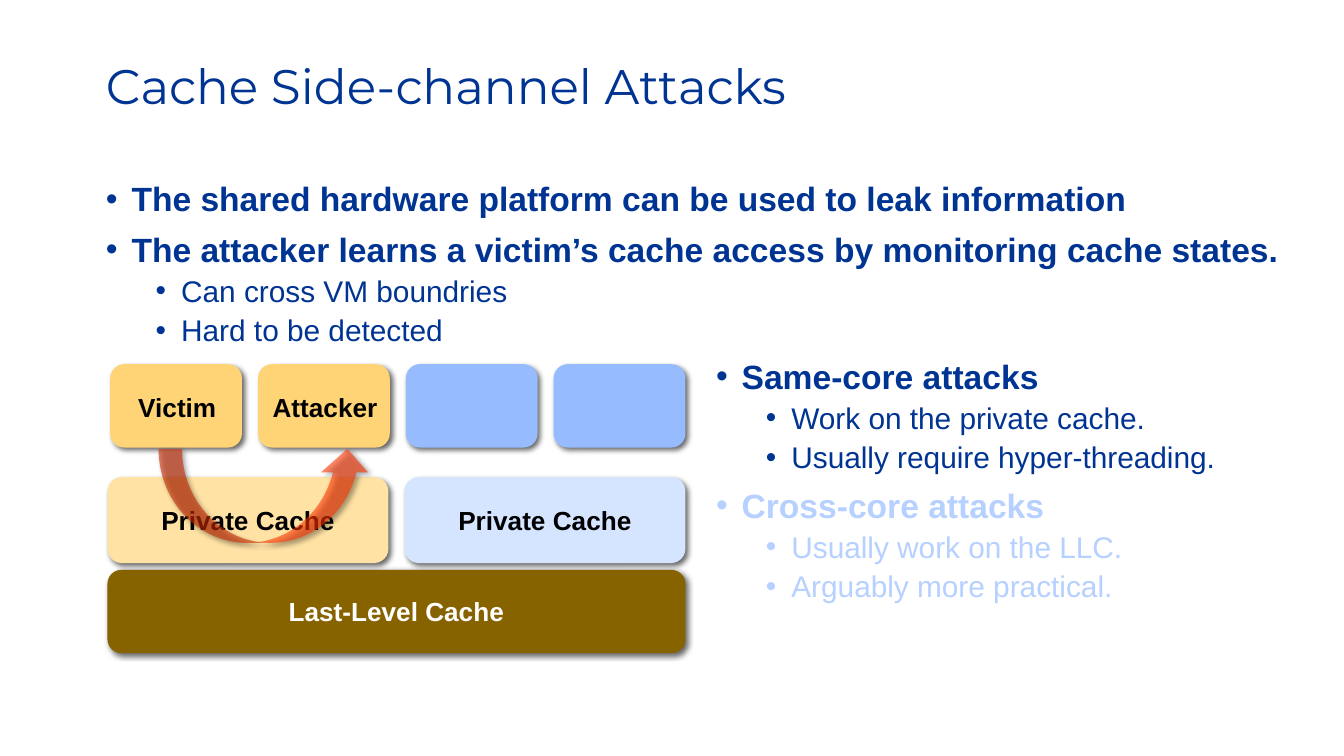
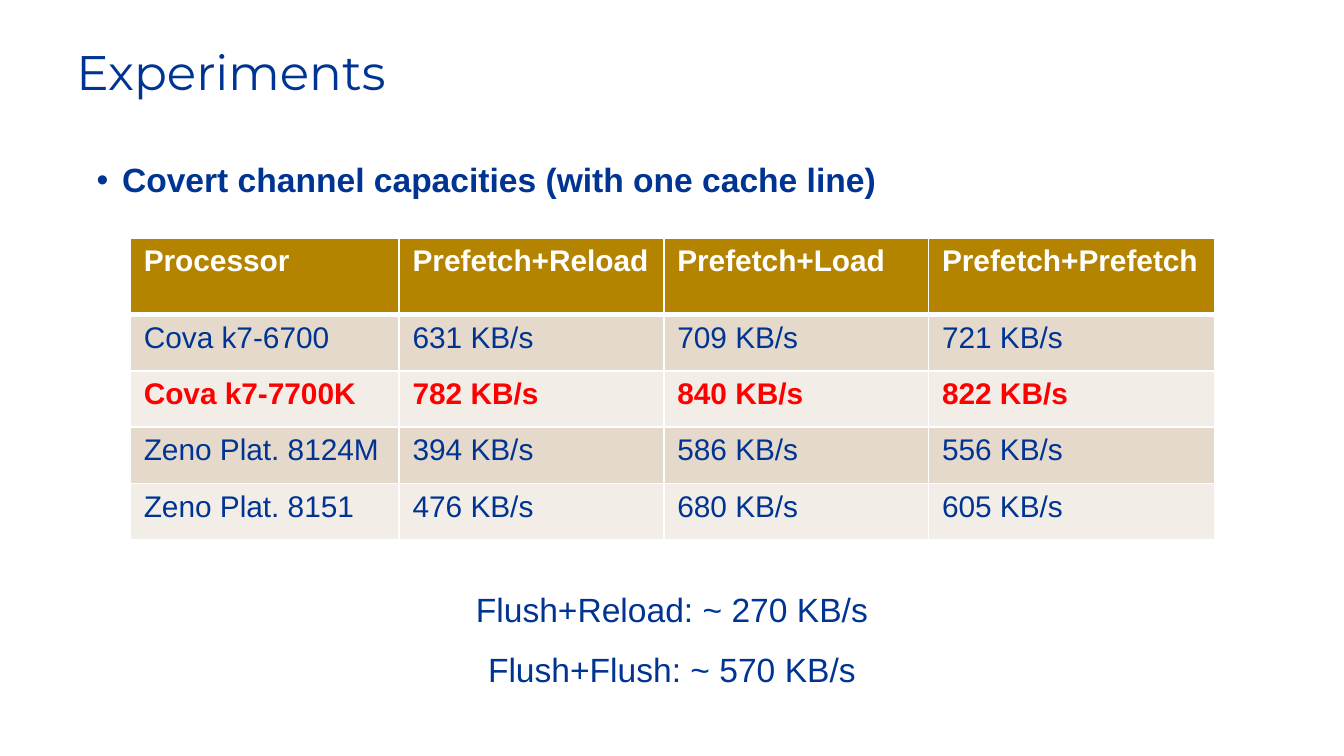
from lxml import etree
from pptx import Presentation
from pptx import util as u
from pptx.dml import color
from pptx.enum import shapes, text
from pptx.oxml import ns

NAVY, PALE, WHITE, BLACK, RED = "003493", "B6D0FF", "FFFFFF", "000000", "FF0000"
AMBER, SAND, BLUE, ICE, BROWN = "FFD476", "FFE2A4", "96BBFF", "D5E4FF", "876300"
ARROW, HEADER, BANDS = "FF3300", "B48400", ("E5D9CC", "F2EDE7")
BODY_FONT, TITLE_FONT = "Arial", "Montserrat"


def rgb(value):
    """Turn a hex string into a colour."""
    return color.RGBColor.from_string(value)


def sub(parent, tag, **attrs):
    """Append a drawing element with its attributes."""
    el = etree.SubElement(parent, ns.qn(tag))
    for name, value in attrs.items():
        el.set(name, str(value))
    return el


def style(p, size, hex_color, bold=False, font=BODY_FONT):
    """Format every run of a paragraph."""
    for r in p.runs:
        r.font.size = u.Pt(size)
        r.font.name = font
        r.font.bold = bold
        r.font.color.rgb = rgb(hex_color)


def add_text(s, box, lines, size, hex_color=NAVY, bold=False, font=BODY_FONT,
             spacing=None, align=None, wrap=True):
    """Add a text box with one paragraph for each line."""
    tf = s.shapes.add_textbox(*map(u.Inches, box)).text_frame
    tf.word_wrap = wrap
    tf.text = "\n".join(lines)
    for p in tf.paragraphs:
        p.line_spacing = spacing
        p.alignment = align
        style(p, size, hex_color, bold, font)
    return tf


def add_title(s, box, title):
    """Add the slide title."""
    add_text(s, box, [title], 26, font=TITLE_FONT, spacing=0.9)


def add_bullets(s, box, items):
    """Add bullets from (level, text, colour) items."""
    tf = add_text(s, box, [item[1] for item in items], 18, spacing=0.9)
    for p, (level, _, hex_color) in zip(tf.paragraphs, items):
        p.level = level
        p.space_before = u.Pt(3.8 if level else 7.5)
        style(p, 16 if level else 18, hex_color, bold=level == 0)
        pPr = p._p.get_or_add_pPr()
        pPr.set("marL", str(u.Inches(0.56 if level else 0.19)))
        pPr.set("indent", str(u.Inches(-0.19)))
        sub(pPr, "a:buFont", typeface=BODY_FONT)
        sub(pPr, "a:buChar", char="•")


def add_shadow(sp):
    """Give a shape a soft shadow to the lower right."""
    sp.shadow.inherit = False
    effects = sp._element.spPr.find(ns.qn("a:effectLst"))
    outer = sub(effects, "a:outerShdw", blurRad=u.Pt(3), dist=u.Pt(2),
                dir=45 * 60000, algn="tl", rotWithShape=0)
    sub(sub(outer, "a:srgbClr", val=BLACK), "a:alpha", val=60000)


def add_block(s, box, fill, label="", hex_color=BLACK,
              kind=shapes.MSO_SHAPE.ROUNDED_RECTANGLE):
    """Add a filled, shadowed shape with a centred label."""
    sp = s.shapes.add_shape(kind, *map(u.Inches, box))
    sp.fill.solid()
    sp.fill.fore_color.rgb = rgb(fill)
    sp.line.fill.background()
    add_shadow(sp)
    if label:
        tf = sp.text_frame
        tf.text = label
        tf.vertical_anchor = text.MSO_ANCHOR.MIDDLE
        tf.paragraphs[0].alignment = text.PP_ALIGN.CENTER
        style(tf.paragraphs[0], 14, hex_color, bold=True)
    return sp


def add_leak_arrow(s, box):
    """Add the translucent arrow from victim to attacker."""
    sp = add_block(s, box, ARROW, kind=shapes.MSO_SHAPE.CURVED_UP_ARROW)
    clr = sp._element.spPr.find(ns.qn("a:solidFill"))[0]
    sub(clr, "a:alpha", val=58000)


def add_borders(cell, top, bottom):
    """Draw white cell borders of the given top and bottom widths."""
    tcPr = cell._tc.get_or_add_tcPr()
    for side, width in (("L", 1), ("R", 1), ("T", top), ("B", bottom)):
        ln = sub(tcPr, f"a:ln{side}", w=u.Pt(width))
        sub(sub(ln, "a:solidFill"), "a:srgbClr", val=WHITE)


def add_results(s, box, widths, heights, rows, best):
    """Add the capacity table with one highlighted row."""
    table = s.shapes.add_table(len(rows), len(widths), *map(u.Inches, box)).table
    for col, width in zip(table.columns, widths):
        col.width = u.Inches(width)
    for i, values in enumerate(rows):
        table.rows[i].height = u.Inches(heights[i])
        fill = BANDS[(i - 1) % 2] if i else HEADER
        ink = WHITE if i == 0 else RED if i == best else NAVY
        for j, value in enumerate(values):
            cell = table.cell(i, j)
            add_borders(cell, 3 if i == 1 else 1, 3 if i == 0 else 1)
            cell.fill.solid()
            cell.fill.fore_color.rgb = rgb(fill)
            cell.text = value
            style(cell.text_frame.paragraphs[0], 16, ink, bold=i in (0, best))


def add_cache_diagram(s):
    """Draw cores above private caches and the last-level cache."""
    add_block(s, (0.8, 4.24, 4.3, 0.62), BROWN, "Last-Level Cache", WHITE)
    for i, fill in enumerate((SAND, ICE)):
        add_block(s, (0.8 + 2.21 * i, 3.55, 2.09, 0.64), fill, "Private Cache")
    for i, fill in enumerate((AMBER, AMBER, BLUE, BLUE)):
        add_block(s, (0.82 + 1.1 * i, 2.71, 0.98, 0.62), fill)
    add_leak_arrow(s, (1.18, 3.34, 1.58, 0.7))
    for x, width, label in ((0.93, 0.79, "Victim"), (1.93, 0.99, "Attacker")):
        add_text(s, (x, 2.86, width, 0.34), [label], 14, BLACK, True, wrap=False)


def build_attacks(s):
    """Fill the slide on cache attacks."""
    add_bullets(s, (5.23, 2.63, 4.62, 2.3), [
        (0, "Same-core attacks", NAVY),
        (1, "Work on the private cache.", NAVY),
        (1, "Usually require hyper-threading.", NAVY),
        (0, "Cross-core attacks", PALE),
        (1, "Usually work on the LLC.", PALE),
        (1, "Arguably more practical.", PALE),
    ])
    add_title(s, (0.69, 0.42, 8.62, 0.96), "Cache Side-channel Attacks")
    add_bullets(s, (0.69, 1.31, 8.98, 1.32), [
        (0, "The shared hardware platform can be used to leak information", NAVY),
        (0, "The attacker learns a victim’s cache access by monitoring cache states.", NAVY),
        (1, "Can cross VM boundries", NAVY),
        (1, "Hard to be detected", NAVY),
    ])
    add_cache_diagram(s)


def build_experiments(s):
    """Fill the slide on measured capacities."""
    add_bullets(s, (0.62, 1.17, 8.73, 0.33),
                [(0, "Covert channel capacities (with one cache line)", NAVY)])
    add_title(s, (0.47, 0.31, 8.62, 0.59), "Experiments")
    rows = [("Processor", "Prefetch+Reload", "Prefetch+Load", "Prefetch+Prefetch")]
    for chip, *rates in (("Cova k7-6700", 631, 709, 721),
                         ("Cova k7-7700K", 782, 840, 822),
                         ("Zeno Plat. 8124M", 394, 586, 556),
                         ("Zeno Plat. 8151", 476, 680, 605)):
        rows.append((chip, *(f"{rate} KB/s" for rate in rates)))
    add_results(s, (0.97, 1.77, 8.06, 2.26), (2, 1.97, 1.97, 2.13),
                (0.57, *[0.42] * 4), rows, best=2)
    add_text(s, (2.59, 4.18, 4.82, 0.95),
             ["Flush+Reload: ~ 270 KB/s", "Flush+Flush: ~ 570 KB/s"], 18,
             spacing=1.5, align=text.PP_ALIGN.CENTER)


def main():
    """Build and save the presentation."""
    prs = Presentation()
    prs.slide_width = u.Inches(10)
    prs.slide_height = prs.slide_width * 9 // 16
    for build in (build_attacks, build_experiments):
        build(prs.slides.add_slide(prs.slide_layouts[6]))
    prs.save("out.pptx")


if __name__ == "__main__":
    main()
